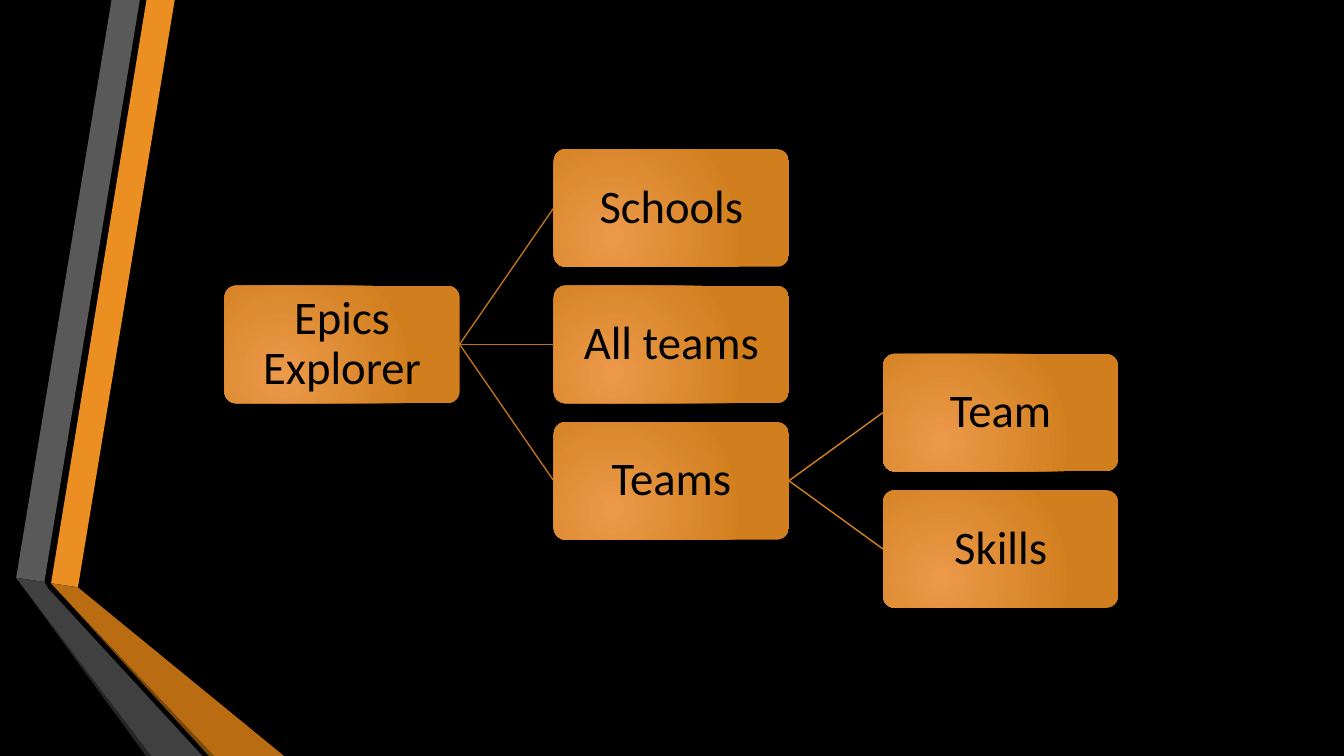
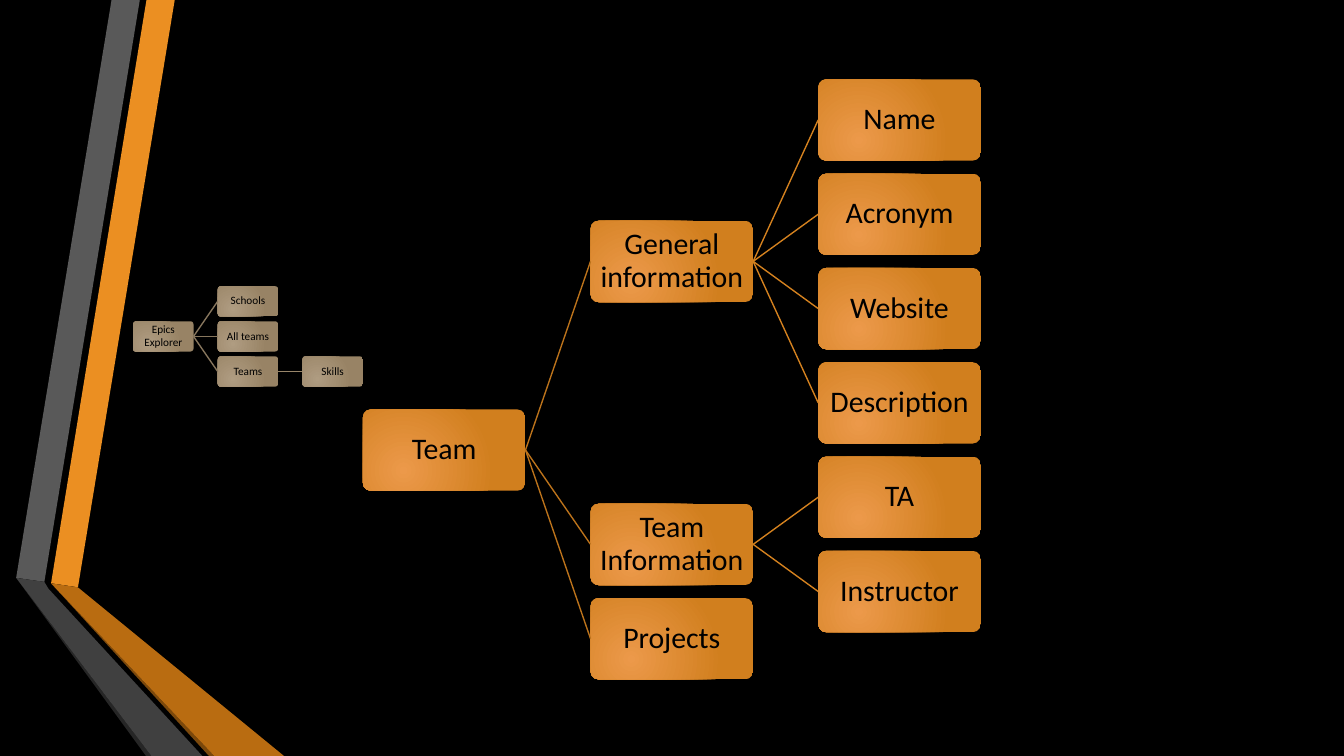
from lxml import etree
from pptx import Presentation
from pptx.dml.color import RGBColor
from pptx.enum.shapes import MSO_CONNECTOR, MSO_SHAPE
from pptx.enum.text import MSO_ANCHOR, PP_ALIGN
from pptx.oxml.ns import qn
from pptx.util import Inches, Pt

STRAIGHT = MSO_CONNECTOR.STRAIGHT
ROUNDED = MSO_SHAPE.ROUNDED_RECTANGLE
MIDDLE = MSO_ANCHOR.MIDDLE
CENTER = PP_ALIGN.CENTER
LEFT_SITE, RIGHT_SITE = 1, 3

SLIDE_WIDTH = Inches(10)
SLIDE_HEIGHT = SLIDE_WIDTH * 9 // 16
FONT = "Calibri"
BLACK = "000000"
ORANGE = {"fill": ("EC994A", "D17F1E"), "lines": ("BC731B", "D5821F")}
FADED = {"fill": ("AF9C81", "988365"), "lines": ("87765D", "988569")}

# Ribbon pieces on every slide: colour, outline
RIBBONS = [
    ("EB8F22", [(0.38, 4.34), (0.58, 4.37), (1.3, 0), (1.09, 0)]),
    ("595959", [(1.04, 0), (0.83, 0), (0.12, 4.3), (0.33, 4.33)]),
    ("262626", [(0.12, 4.3), (1.09, 5.63), (1.13, 5.63)]),
    ("7B480B", [(0.38, 4.34), (1.56, 5.63), (1.6, 5.63)]),
    ("B96C11", [(0.38, 4.34), (1.6, 5.63), (2.12, 5.63), (0.58, 4.37)]),
    ("404040", [(1.51, 5.63), (0.36, 4.38), (0.33, 4.33), (0.12, 4.3), (1.13, 5.63)]),
]

# A node is (label, children)
SITE_MAP = ("Epics Explorer", [
    ("Schools", []),
    ("All teams", []),
    ("Teams", [("Team", []), ("Skills", [])]),
])
SITE_MAP_WITHOUT_TEAM = ("Epics Explorer", [
    ("Schools", []),
    ("All teams", []),
    ("Teams", [("Skills", [])]),
])
TEAM_PAGE = ("Team", [
    ("General information", [
        ("Name", []), ("Acronym", []), ("Website", []), ("Description", []),
    ]),
    ("Team Information", [("TA", []), ("Instructor", [])]),
    ("Projects", []),
])

# Trees of each slide; left and top belong to the first column and first row
SLIDES = [
    [dict(root=SITE_MAP, left=1.67, top=1.11, width=1.75, size=25, inset=0.02, theme=ORANGE)],
    [
        dict(root=TEAM_PAGE, left=2.7, top=0.59, width=1.21, size=16, inset=0.01, theme=ORANGE),
        dict(root=SITE_MAP_WITHOUT_TEAM, left=0.99, top=2.13, width=0.45, size=6, inset=0,
             theme=FADED),
    ],
]

# Proportions of a tree, relative to the box width
BOX_HEIGHT, COLUMN_STEP, ROW_STEP = 0.5, 1.4, 0.58


def rgb(color):
    return RGBColor.from_string(color)


def add_ribbon(s, color, points):
    corners = [(Inches(x), Inches(y)) for x, y in points]
    builder = s.shapes.build_freeform(*corners[0])
    builder.add_line_segments(corners[1:], close=True)
    sp = builder.convert_to_shape()
    sp.shadow.inherit = False
    sp.fill.solid()
    sp.fill.fore_color.rgb = rgb(color)
    sp.line.fill.background()
    return sp


def set_glow_fill(sp, colors):
    """Fill with a circular gradient centred on the lower left."""
    sp.fill.gradient()
    for stop, color in zip(sp.fill.gradient_stops, colors):
        stop.color.rgb = rgb(color)
    grad = sp.element.spPr.find(qn("a:gradFill"))
    grad.remove(grad.find(qn("a:lin")))
    circle = etree.SubElement(grad, qn("a:path"), path="circle")
    etree.SubElement(circle, qn("a:fillToRect"), l="50000", t="100000", r="100000", b="50000")


def add_box(s, tree, label, level, row):
    width = tree["width"]
    sp = s.shapes.add_shape(
        ROUNDED,
        Inches(tree["left"] + level * COLUMN_STEP * width),
        Inches(tree["top"] + row * ROW_STEP * width),
        Inches(width), Inches(BOX_HEIGHT * width))
    sp.adjustments[0] = 0.1
    sp.shadow.inherit = False
    set_glow_fill(sp, tree["theme"]["fill"])
    sp.line.fill.background()
    tf = sp.text_frame
    tf.word_wrap = True
    tf.vertical_anchor = MIDDLE
    tf.margin_left = tf.margin_right = tf.margin_top = tf.margin_bottom = Inches(tree["inset"])
    p = tf.paragraphs[0]
    p.text = label
    p.alignment = CENTER
    p.line_spacing = 0.9
    p.font.name = FONT
    p.font.size = Pt(tree["size"])
    p.font.color.rgb = rgb(BLACK)
    return sp


def add_link(s, parent, child, color):
    link = s.shapes.add_connector(STRAIGHT, 0, 0, 0, 0)
    link.begin_connect(parent, RIGHT_SITE)
    link.end_connect(child, LEFT_SITE)
    link.line.color.rgb = rgb(color)
    link.line.width = Pt(0.75)
    etree.SubElement(link.element.spPr, qn("a:effectLst"))


def add_node(s, tree, node, level, free_rows):
    """Draw a node and its descendants; return its box and row.

    free_rows holds the next free row of each level. A parent sits midway
    between its first and last child.
    """
    label, children = node
    row = free_rows.get(level, 0)
    placed = []
    if children:
        first_row = row - (len(children) - 1) / 2
        free_rows[level + 1] = max(free_rows.get(level + 1, 0), first_row)
        placed = [add_node(s, tree, child, level + 1, free_rows) for child in children]
        row = (placed[0][1] + placed[-1][1]) / 2
    free_rows[level] = row + 1
    box = add_box(s, tree, label, level, row)
    for child_box, _ in placed:
        add_link(s, box, child_box, tree["theme"]["lines"][level])
    return box, row


def move_ribbons_to_layout(s, layout):
    for placeholder in list(layout.placeholders):
        placeholder.element.getparent().remove(placeholder.element)
    for color, points in RIBBONS:
        layout.element.cSld.spTree.append(add_ribbon(s, color, points).element)


def main():
    prs = Presentation()
    prs.slide_width, prs.slide_height = SLIDE_WIDTH, SLIDE_HEIGHT
    background = prs.slide_master.background.fill
    background.solid()
    background.fore_color.rgb = rgb(BLACK)
    layout = prs.slide_layouts[6]
    slides = [prs.slides.add_slide(layout) for _ in SLIDES]
    move_ribbons_to_layout(slides[0], layout)
    for s, trees in zip(slides, SLIDES):
        for tree in trees:
            add_node(s, tree, tree["root"], 0, {})
    prs.save("out.pptx")


if __name__ == "__main__":
    main()
